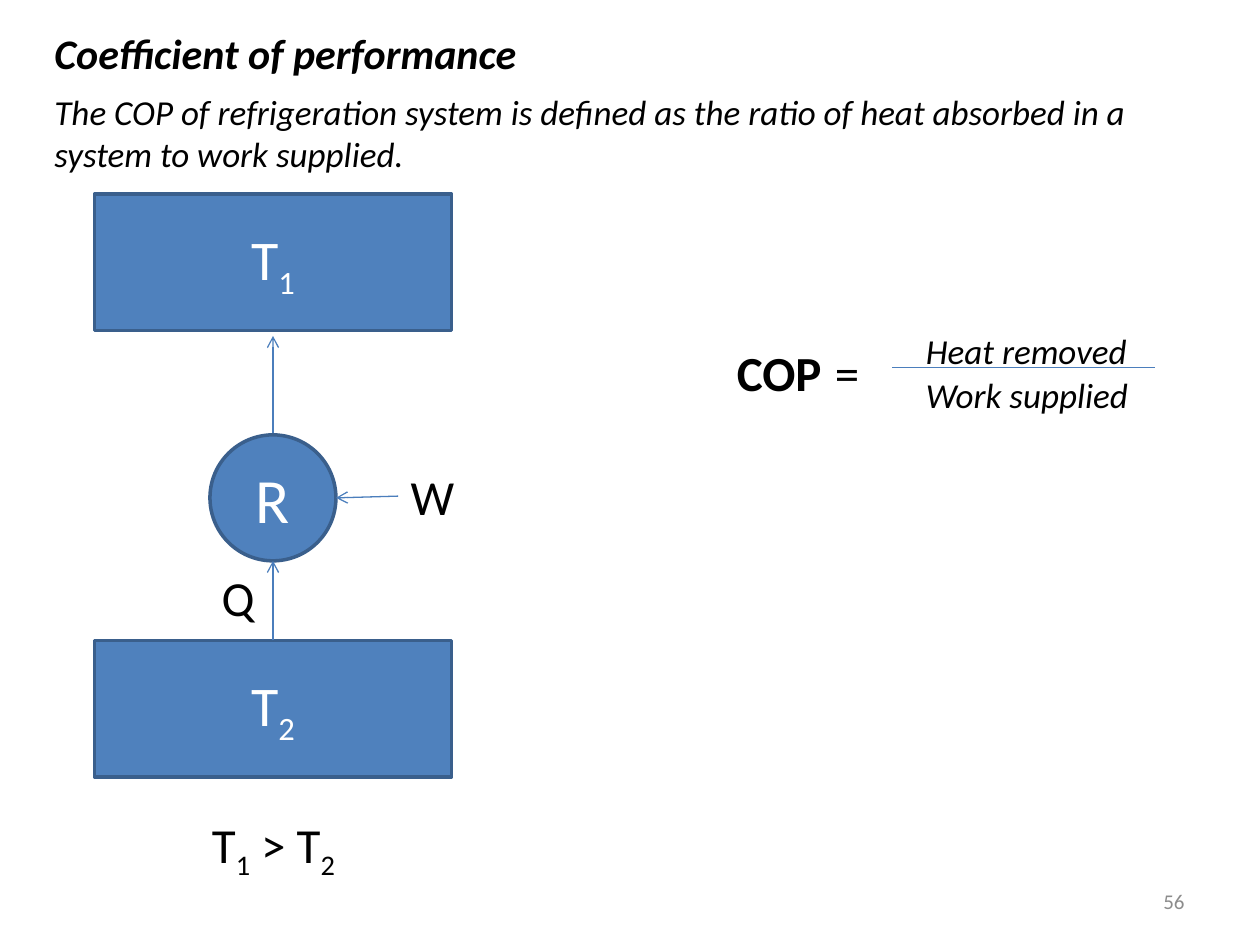
from dataclasses import dataclass
from typing import Any, Optional

import pptx
import pptx.dml.color
import pptx.enum.shapes
import pptx.enum.text
import pptx.oxml
import pptx.oxml.ns
import pptx.util

Pt = pptx.util.Pt
RGBColor = pptx.dml.color.RGBColor
Kind = pptx.enum.shapes.MSO_SHAPE
Align = pptx.enum.text.PP_ALIGN
Anchor = pptx.enum.text.MSO_ANCHOR

BLACK = RGBColor(0x00, 0x00, 0x00)
WHITE = RGBColor(0xFF, 0xFF, 0xFF)
GRAY = RGBColor(0x8C, 0x8C, 0x8C)
BLUE = RGBColor(0x4F, 0x81, 0xBD)
EDGE = RGBColor(0x3A, 0x5F, 0x8C)
WIRE = RGBColor(0x4B, 0x7E, 0xBC)
FONT = "Calibri"
MID = 156  # centre of the heat flow column


@dataclass
class Label:
    text: str
    left: float
    top: float
    width: float
    height: float
    size: float = 28
    bold: bool = False
    italic: bool = False
    color: RGBColor = BLACK
    align: Any = Align.LEFT
    anchor: Any = Anchor.TOP


@dataclass
class Node:
    text: str
    kind: Any
    top: float
    width: float
    height: float
    size: float


@dataclass
class Wire:
    x1: float
    y1: float
    x2: float
    y2: float
    arrow: bool = True


def write(frame: Any, text: str, *, size: float, color: RGBColor,
          bold: bool = False, italic: bool = False,
          align: Any = Align.LEFT, anchor: Any = Anchor.TOP) -> None:
    """Fill a frame; the character after each underscore is a subscript."""
    frame.word_wrap = True
    frame.vertical_anchor = anchor
    para = frame.paragraphs[0]
    para.alignment = align
    first, *rest = text.split("_")
    parts = [(first, False)]
    for part in rest:
        parts += [(part[0], True), (part[1:], False)]
    for chars, sub in parts:
        if not chars:
            continue
        run = para.add_run()
        run.text = chars
        font = run.font
        font.name, font.size = FONT, Pt(size)
        font.bold, font.italic = bold, italic
        font.color.rgb = color
        if sub:
            run._r.get_or_add_rPr().set("baseline", "-25000")


def add_label(slide: Any, label: Label) -> None:
    box = slide.shapes.add_textbox(Pt(label.left), Pt(label.top),
                                   Pt(label.width), Pt(label.height))
    write(box.text_frame, label.text, size=label.size, color=label.color,
          bold=label.bold, italic=label.italic, align=label.align,
          anchor=label.anchor)


def add_node(slide: Any, node: Node) -> Any:
    shape = slide.shapes.add_shape(node.kind, Pt(MID - node.width / 2), Pt(node.top),
                                   Pt(node.width), Pt(node.height))
    shape.shadow.inherit = False
    shape.fill.solid()
    shape.fill.fore_color.rgb = BLUE
    shape.line.color.rgb = EDGE
    shape.line.width = Pt(2)
    write(shape.text_frame, node.text, size=node.size, color=WHITE,
          align=Align.CENTER, anchor=Anchor.MIDDLE)
    return shape


def add_wire(slide: Any, wire: Wire, start: Optional[Any] = None) -> None:
    """Draw a line; with a start shape, leave from its top side."""
    line = slide.shapes.add_connector(
        pptx.enum.shapes.MSO_CONNECTOR.STRAIGHT,
        Pt(wire.x1), Pt(wire.y1), Pt(wire.x2), Pt(wire.y2))
    if start is not None:
        line.begin_connect(start, 0)
    line.line.color.rgb = WIRE
    line.line.width = Pt(0.75)
    if wire.arrow:
        tail = pptx.oxml.parse_xml(
            f'<a:tailEnd {pptx.oxml.ns.nsdecls("a")} type="arrow"/>')
        line.line._get_or_add_ln().append(tail)
    line._element.spPr.append(
        pptx.oxml.parse_xml(f'<a:effectLst {pptx.oxml.ns.nsdecls("a")}/>'))


LABELS = [
    # Heading and definition
    Label("Coefficient of performance", 24, 12, 384, 36, 24, bold=True, italic=True),
    Label("The COP of refrigeration system is defined as the ratio of heat "
          "absorbed in a system to work supplied.", 24, 48, 660, 55.5, 20, italic=True),
    # Diagram labels
    Label("W", 227.5, 263, 48, 41),
    Label("Q", 119.5, 320.5, 48, 41),
    Label("T_1 > T_2", 114, 462, 96, 41),
    # Formula
    Label("COP", 414, 192, 78, 41, bold=True),
    Label("=", 470, 192, 30, 41),
    Label("Heat removed", 522, 184.5, 150, 31.5, 20, italic=True),
    Label("Work supplied", 522, 210, 150, 31.5, 20, italic=True),
    # Page number
    Label("56", 516, 500.5, 168, 28.75, 12, color=GRAY,
          align=Align.RIGHT, anchor=Anchor.MIDDLE),
]
HOT = Node("T_1", Kind.RECTANGLE, 111, 204, 78, 32)
COLD = Node("T_2", Kind.RECTANGLE, 366, 204, 78, 32)
PUMP = Node("R", Kind.OVAL, 248.5, 72, 72, 36)


def main() -> None:
    deck = pptx.Presentation()
    deck.slide_width, deck.slide_height = Pt(720), Pt(540)
    slide = deck.slides.add_slide(deck.slide_layouts[6])

    # Heat flow: the long arrow passes behind the circle
    add_node(slide, HOT)
    cold = add_node(slide, COLD)
    add_wire(slide, Wire(MID, COLD.top, MID, 192), cold)
    add_node(slide, PUMP)
    add_wire(slide, Wire(MID, COLD.top, MID, PUMP.top + PUMP.height), cold)
    add_wire(slide, Wire(227.5, 283.5, MID + PUMP.width / 2, 284.5))

    # Text and fraction bar
    for label in LABELS:
        add_label(slide, label)
    add_wire(slide, Wire(510, 210, 660, 210, arrow=False))

    deck.save("out.pptx")


if __name__ == "__main__":
    main()
